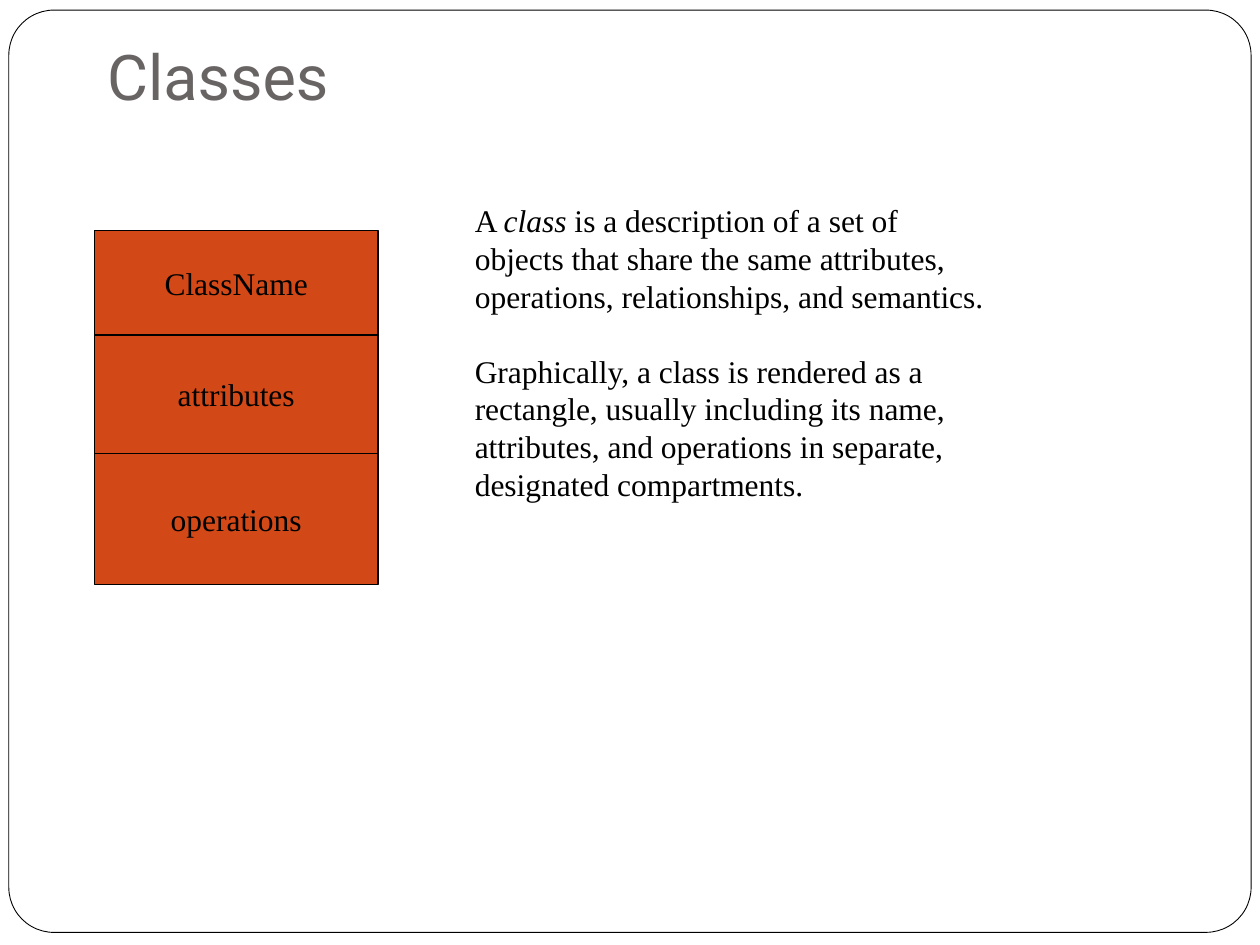
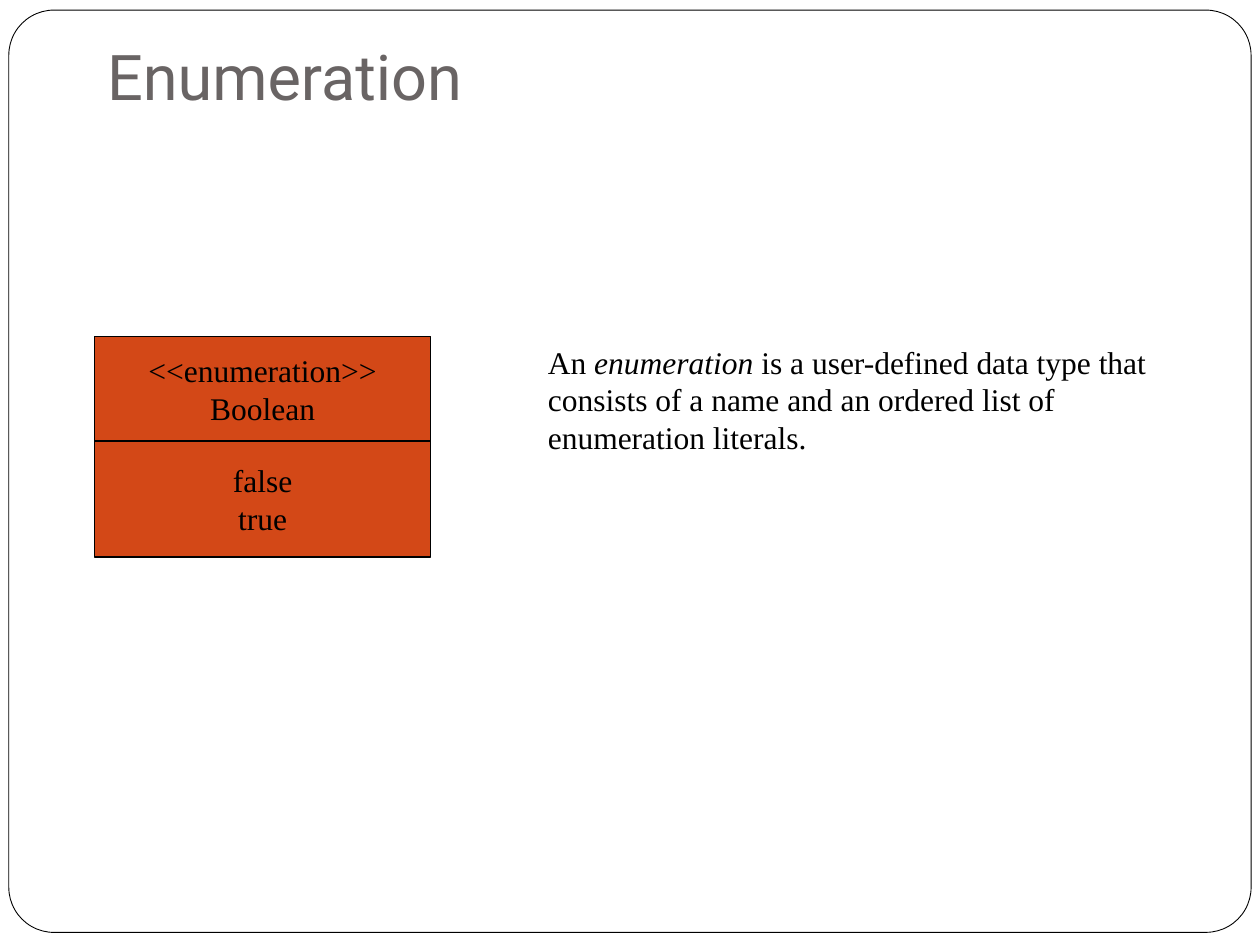
from pptx import Presentation
from pptx.dml.color import RGBColor
from pptx.enum.shapes import MSO_SHAPE
from pptx.enum.text import MSO_ANCHOR, MSO_AUTO_SIZE, PP_ALIGN
from pptx.util import Inches, Pt

RECTANGLE, ROUNDED = MSO_SHAPE.RECTANGLE, MSO_SHAPE.ROUNDED_RECTANGLE
TOP, MIDDLE, BOTTOM = MSO_ANCHOR.TOP, MSO_ANCHOR.MIDDLE, MSO_ANCHOR.BOTTOM
LEFT, CENTER = PP_ALIGN.LEFT, PP_ALIGN.CENTER
NO_AUTOFIT = MSO_AUTO_SIZE.NONE

WHITE = RGBColor(0xFF, 0xFF, 0xFF)
BLACK = RGBColor(0, 0, 0)
ORANGE = RGBColor(0xD3, 0x48, 0x17)
GRAY = RGBColor(0x69, 0x64, 0x64)
TITLE_FONT, BODY_FONT = "Roboto", "Times New Roman"

FRAME_BOX = (0.07, 0.08, 9.86, 7.32)
TITLE_BOX = (0.75, 0.42, 8.58, 0.58)
DIAGRAM_LEFT = 0.75
BLOCK_GAP = 21  # points, one line of body text

# Content: a description is a list of blocks, a block a list of lines,
# and a line a list of (text, italic) runs.
SLIDES = [
    {
        "title": "Classes",
        "diagram": {"top": 1.83, "width": 2.25},
        "compartments": [
            (["ClassName"], 0.83),
            (["attributes"], 0.94),
            (["operations"], 1.04),
        ],
        "description_box": (3.67, 1.55, 6.07, 3.3),
        "description": [
            [
                [("A ", False), ("class", True), (" is a description of a set of", False)],
                [("objects that share the same attributes,", False)],
                [("operations, relationships, and semantics.", False)],
            ],
            [
                [("Graphically, a class is rendered as a", False)],
                [("rectangle, usually including its name,", False)],
                [("attributes, and operations in separate,", False)],
                [("designated compartments.", False)],
            ],
        ],
    },
    {
        "title": "Enumeration",
        "diagram": {"top": 2.67, "width": 2.67},
        "compartments": [
            (["<<enumeration>>", "Boolean"], 0.83),
            (["false", "true"], 0.92),
        ],
        "description_box": (4.25, 2.67, 5.14, 1.7),
        "description": [
            [
                [
                    ("An ", False),
                    ("enumeration", True),
                    (" is a user-defined data type that consists of a name "
                     "and an ordered list of enumeration literals.", False),
                ],
            ],
        ],
    },
]


def inches(box):
    return [Inches(length) for length in box]


def write_text(shape, blocks, *, font=BODY_FONT, size=18, color=BLACK,
               align=LEFT, anchor=TOP, wrap=True):
    """Fill a shape with blocks of lines, leaving a gap between blocks."""
    frame = shape.text_frame
    frame.auto_size = NO_AUTOFIT
    frame.word_wrap = wrap
    frame.vertical_anchor = anchor
    paragraph = None
    for block in blocks:
        for line_number, line in enumerate(block):
            starts_new_block = paragraph is not None and line_number == 0
            paragraph = frame.paragraphs[0] if paragraph is None else frame.add_paragraph()
            paragraph.alignment = align
            paragraph.space_before = Pt(BLOCK_GAP if starts_new_block else 0)
            for text, italic in line:
                run = paragraph.add_run()
                run.text = text
                run.font.name = font
                run.font.size = Pt(size)
                run.font.italic = italic
                run.font.color.rgb = color


def add_box(shapes, kind, box, fill, line_width):
    shape = shapes.add_shape(kind, *inches(box))
    shape.shadow.inherit = False
    shape.fill.solid()
    shape.fill.fore_color.rgb = fill
    shape.line.color.rgb = BLACK
    shape.line.width = Pt(line_width)
    return shape


def add_layout_frame(slide, layout):
    """Put the rounded frame behind everything in the shared layout."""
    frame = add_box(slide.shapes, ROUNDED, FRAME_BOX, WHITE, 0.5)
    frame.adjustments[0] = 0.049
    layout.shapes._spTree.insert(2, frame._element)


def add_title(slide, text):
    title = slide.shapes.title
    title.left, title.top, title.width, title.height = inches(TITLE_BOX)
    write_text(title, [[[(text, False)]]], font=TITLE_FONT, size=36,
               color=GRAY, anchor=BOTTOM)
    title.text_frame.margin_bottom = Inches(0.1)


def add_diagram(slide, compartments, top, width):
    group = slide.shapes.add_group_shape()
    for lines, height in compartments:
        box = add_box(group.shapes, RECTANGLE,
                      (DIAGRAM_LEFT, top, width, height), ORANGE, 0.75)
        write_text(box, [[[(line, False)] for line in lines]],
                   align=CENTER, anchor=MIDDLE, wrap=False)
        top += height


def main():
    presentation = Presentation()
    presentation.slide_width = Inches(10)
    presentation.slide_height = Inches(7.5)
    layout = presentation.slide_layouts.get_by_name("Title Only")

    for number, content in enumerate(SLIDES):
        slide = presentation.slides.add_slide(layout)
        if number == 0:
            add_layout_frame(slide, layout)
        add_title(slide, content["title"])
        add_diagram(slide, content["compartments"], **content["diagram"])
        description = slide.shapes.add_textbox(*inches(content["description_box"]))
        write_text(description, content["description"])

    presentation.save("out.pptx")


if __name__ == "__main__":
    main()
